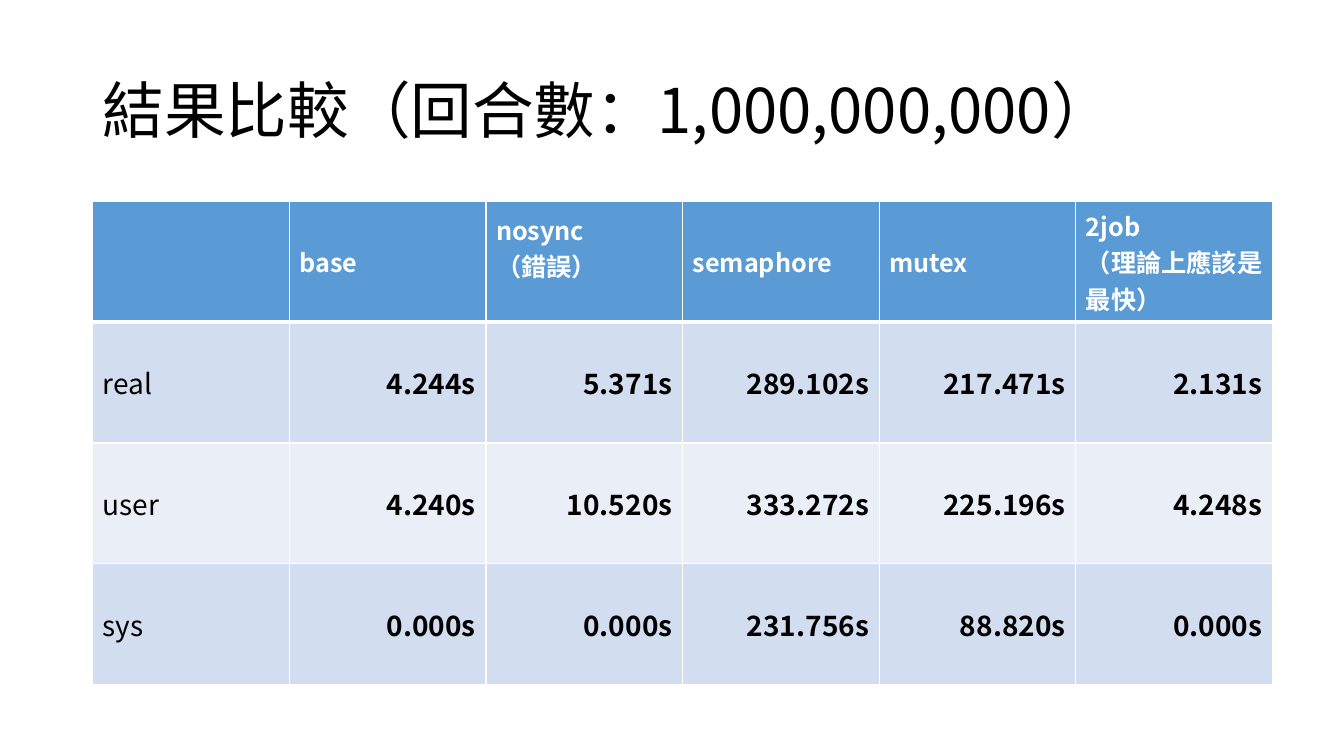
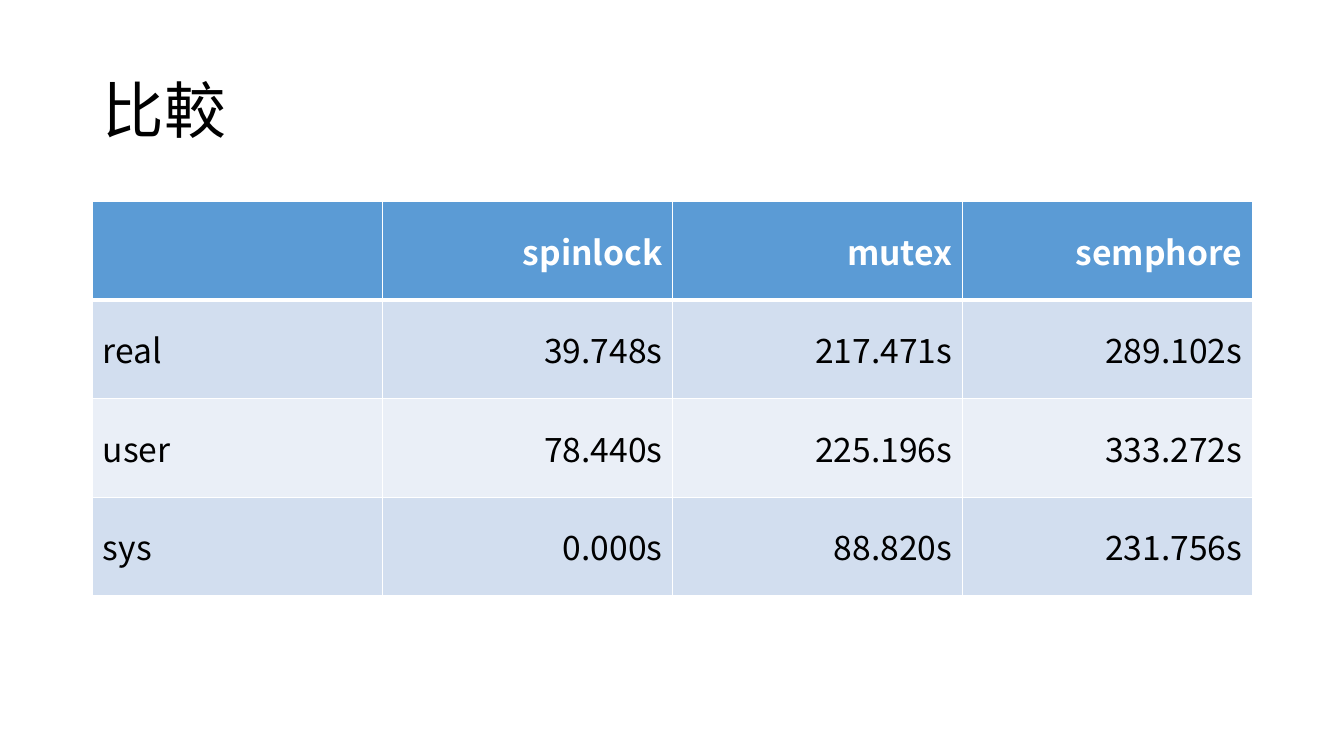
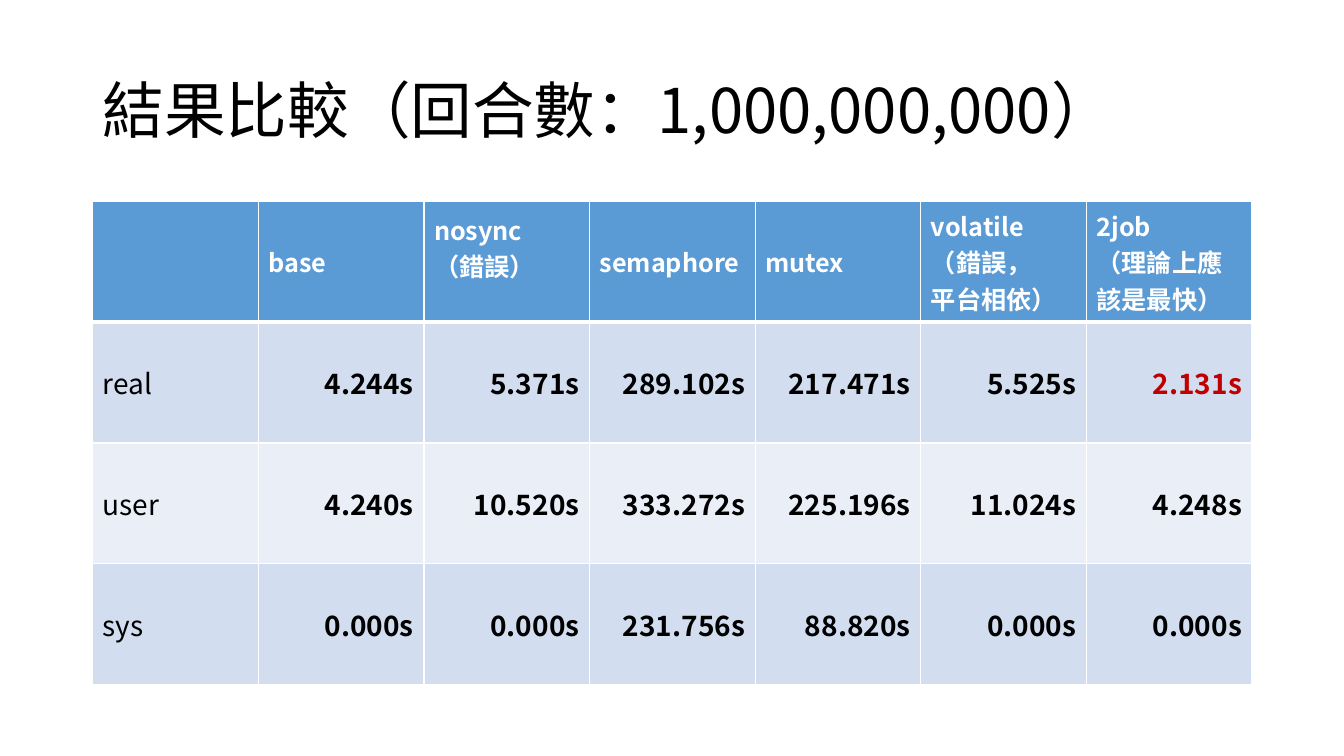
from dataclasses import dataclass

from lxml import etree
from pptx import Presentation
from pptx import util as u
from pptx.dml.color import RGBColor
from pptx.enum import text
from pptx.oxml import ns


@dataclass(frozen=True)
class Theme:
    font: str = "Noto Sans CJK TC"
    remark_font: str = "Arial"
    ink: str = "000000"
    white: str = "FFFFFF"
    header: str = "5B9BD5"
    bands: tuple = ("D2DEEF", "EAEFF7")
    highlight: str = "C00000"
    title_size: int = 44
    rule: int = 1
    header_rule: int = 3


@dataclass(frozen=True)
class TableStyle:
    header_size: int
    body_size: int
    bold_values: bool
    header_align: text.PP_ALIGN


THEME = Theme()
TIMING_STYLE = TableStyle(18, 20, True, text.PP_ALIGN.LEFT)
LOCK_STYLE = TableStyle(24, 24, False, text.PP_ALIGN.RIGHT)

# Boxes: left, top, width, height in inches
TITLE_BOX = (0.92, 0.4, 11.5, 1.45)
WIDE_BOX = (0.92, 2, 11.7, 4.79)
TALL_BOX = (0.92, 2, 11.5, 4.79)
SHORT_BOX = (0.92, 2, 11.5, 3.91)

# Columns: heading lines, then one value per measure
MEASURES = ("real", "user", "sys")
ROUNDS_TITLE = "結果比較（回合數：1,000,000,000）"
BASE = (["base"], "4.244s", "4.240s", "0.000s")
NOSYNC = (["nosync", "（錯誤）"], "5.371s", "10.520s", "0.000s")
SEMAPHORE = (["semaphore"], "289.102s", "333.272s", "231.756s")
MUTEX = (["mutex"], "217.471s", "225.196s", "88.820s")
VOLATILE = (["volatile", "（錯誤，", "平台相依）"], "5.525s", "11.024s", "0.000s")
TWO_JOB = (["2job", "（理論上應該是最快）"], "2.131s", "4.248s", "0.000s")
SPINLOCK = (["spinlock"], "39.748s", "78.440s", "0.000s")
SEMPHORE = (["semphore"],) + SEMAPHORE[1:]
REMARKS = ("（錯誤）", "平台相依）")
RAISED = NOSYNC[0]


def add_run(paragraph, words, size, color, bold=False, font=THEME.font):
    run = paragraph.add_run()
    run.text = words
    run.font.size = u.Pt(size)
    run.font.bold = bold
    run.font.color.rgb = RGBColor.from_string(color)
    run.font.name = font
    east_asian = etree.SubElement(run.font._element, ns.qn("a:ea"))
    east_asian.set("typeface", THEME.font)


def set_borders(cell, top, bottom):
    """Draw white rules on all four sides of a cell."""
    properties = cell._tc.get_or_add_tcPr()
    widths = {"lnL": THEME.rule, "lnR": THEME.rule, "lnT": top, "lnB": bottom}
    for position, (side, width) in enumerate(widths.items()):
        line = etree.Element(ns.qn(f"a:{side}"), w=str(u.Pt(width)))
        fill = etree.SubElement(line, ns.qn("a:solidFill"))
        etree.SubElement(fill, ns.qn("a:srgbClr"), val=THEME.white)
        properties.insert(position, line)


def fill_cell(cell, lines, fill, size, color, bold, align):
    cell.vertical_anchor = text.MSO_ANCHOR.MIDDLE
    cell.fill.solid()
    cell.fill.fore_color.rgb = RGBColor.from_string(fill)
    frame = cell.text_frame
    for index, words in enumerate(lines):
        paragraph = frame.add_paragraph() if index else frame.paragraphs[0]
        paragraph.alignment = align
        font = THEME.remark_font if words in REMARKS else THEME.font
        add_run(paragraph, words, size, color, bold, font)


def add_title(slide, words, box):
    frame = slide.shapes.add_textbox(*map(u.Inches, box)).text_frame
    frame.word_wrap = True
    frame.vertical_anchor = text.MSO_ANCHOR.MIDDLE
    heading = frame.paragraphs[0]
    heading.line_spacing = 0.9
    add_run(heading, words, THEME.title_size, THEME.ink)


def add_results(slide, columns, box, style, highlighted):
    left, top, width, height = map(u.Inches, box)
    columns = [([], *MEASURES), *columns]
    row_count = len(MEASURES) + 1
    table = slide.shapes.add_table(
        row_count, len(columns), left, top, width, height).table
    table.horz_banding = False
    for row in table.rows:
        row.height = height // row_count

    for c, (heading, *values) in enumerate(columns):
        table.columns[c].width = width // len(columns)
        # Heading
        cell = table.cell(0, c)
        fill_cell(cell, heading, THEME.header, style.header_size,
                  THEME.white, True, style.header_align)
        set_borders(cell, THEME.rule, THEME.header_rule)
        if heading == RAISED:
            cell.margin_bottom = u.Inches(0.34)
        # Measures and values
        for r, value in enumerate(values, 1):
            cell = table.cell(r, c)
            color = THEME.highlight if value == highlighted else THEME.ink
            align = text.PP_ALIGN.RIGHT if c else text.PP_ALIGN.LEFT
            fill_cell(cell, [value], THEME.bands[(r - 1) % 2], style.body_size,
                      color, style.bold_values and c > 0, align)
            set_borders(cell, THEME.header_rule if r == 1 else THEME.rule,
                        THEME.rule)


def add_comparison(deck, title, columns, box, style, highlighted=None):
    slide = deck.slides.add_slide(deck.slide_layouts[6])
    add_title(slide, title, TITLE_BOX)
    add_results(slide, columns, box, style, highlighted)


def main():
    deck = Presentation()
    deck.slide_width, deck.slide_height = u.Inches(13.33), u.Inches(7.5)
    add_comparison(deck, ROUNDS_TITLE,
                   [BASE, NOSYNC, SEMAPHORE, MUTEX, TWO_JOB],
                   WIDE_BOX, TIMING_STYLE)
    add_comparison(deck, "比較", [SPINLOCK, MUTEX, SEMPHORE],
                   SHORT_BOX, LOCK_STYLE)
    add_comparison(deck, ROUNDS_TITLE,
                   [BASE, NOSYNC, SEMAPHORE, MUTEX, VOLATILE, TWO_JOB],
                   TALL_BOX, TIMING_STYLE, highlighted="2.131s")
    deck.save("out.pptx")


if __name__ == "__main__":
    main()
